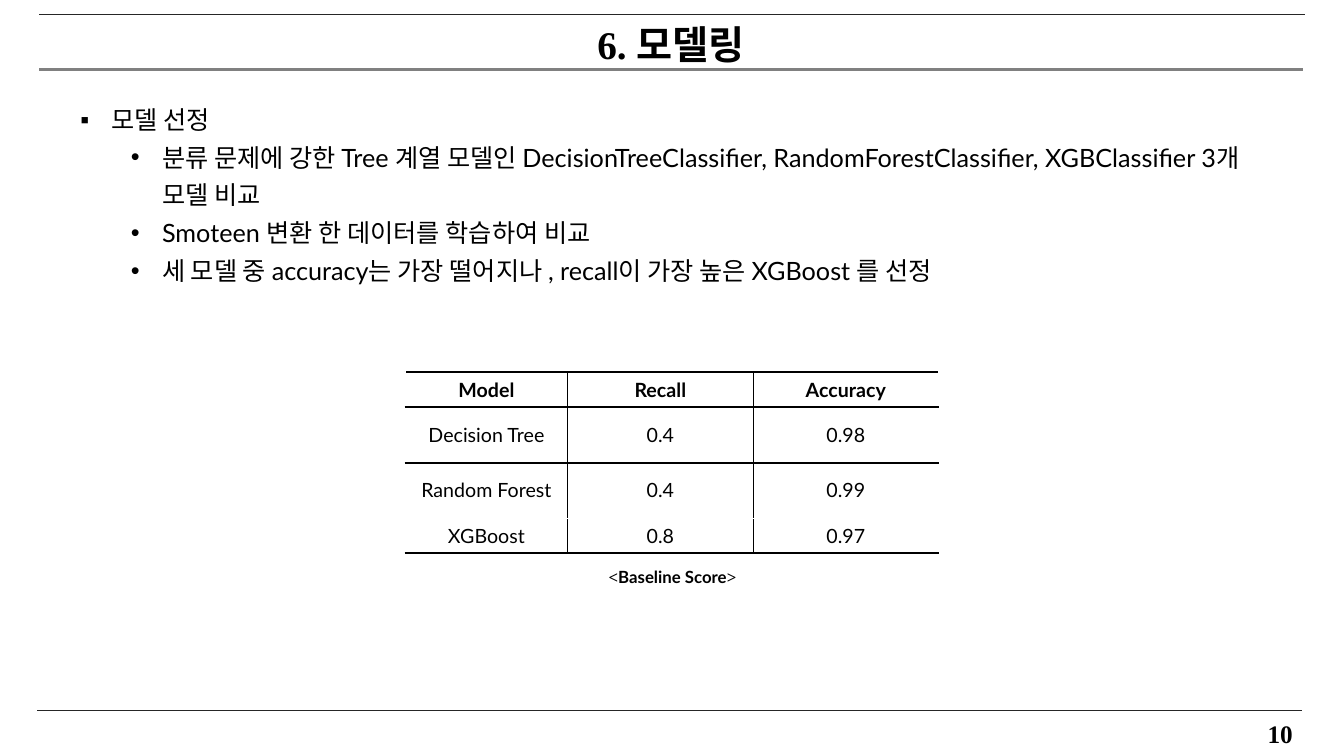
from lxml import etree
from pptx import Presentation
from pptx.dml.color import RGBColor
from pptx.enum.shapes import MSO_CONNECTOR
from pptx.enum.text import MSO_ANCHOR, MSO_AUTO_SIZE, PP_ALIGN
from pptx.oxml.ns import qn
from pptx.util import Inches, Pt

STRAIGHT = MSO_CONNECTOR.STRAIGHT
TOP, MIDDLE = MSO_ANCHOR.TOP, MSO_ANCHOR.MIDDLE
LEFT, CENTER, RIGHT = PP_ALIGN.LEFT, PP_ALIGN.CENTER, PP_ALIGN.RIGHT
FIT_SHAPE = MSO_AUTO_SIZE.SHAPE_TO_FIT_TEXT

# Content
TITLE = "6. 모델링"
PAGE_NUMBER = "10"
BULLETS = [  # level, text
    (0, "모델 선정"),
    (1, "분류 문제에 강한 Tree 계열 모델인 DecisionTreeClassifier, "
        "RandomForestClassifier, XGBClassifier 3개 모델 비교"),
    (1, "Smoteen 변환 한 데이터를 학습하여 비교"),
    (1, "세 모델 중 accuracy는 가장 떨어지나 , recall이 가장 높은 XGBoost 를 선정"),
]
SCORES = [
    ("Model", "Recall", "Accuracy"),
    ("Decision Tree", "0.4", "0.98"),
    ("Random Forest", "0.4", "0.99"),
    ("XGBoost", "0.8", "0.97"),
]
CAPTION = "Baseline Score"


class Theme:
    serif, sans = "Times New Roman", "Lato"
    text, paper, rule, title_rule = "000000", "FFFFFF", "262626", "808080"
    title, body, table, caption, page = 28, 18, 14, 12, 18
    grid, heavy = 1, 1.5


# Layout in inches
RULES = [  # x1, x2, y, colour, width
    (0.39, 12.94, 0.14, Theme.rule, 0.5),
    (0.39, 12.92, 0.69, Theme.title_rule, 2),
    (0.37, 12.91, 7.05, Theme.rule, 0.5),
]
BULLET_STYLES = [("▪", 0.31), ("•", 0.81)]  # mark, left indent by level
HANGING = 0.31
COLUMN_WIDTHS = [1.61, 1.84, 1.84]
ROW_HEIGHTS = [0.35, 0.55, 0.55, 0.35]

prs = Presentation()
prs.slide_width, prs.slide_height = Inches(13.33), Inches(7.5)
slide = prs.slides.add_slide(prs.slide_layouts[6])


def style(r, font, size, bold=False):
    r.font.name, r.font.size, r.font.bold = font, Pt(size), bold
    r.font.color.rgb = RGBColor.from_string(Theme.text)


def add_text(box, paragraphs, align, anchor=TOP, wrap=True, grow=True):
    """Each paragraph is a list of (text, font, size, bold) runs."""
    tf = slide.shapes.add_textbox(*map(Inches, box)).text_frame
    tf.word_wrap, tf.vertical_anchor = wrap, anchor
    if grow:
        tf.auto_size = FIT_SHAPE
    for i, runs in enumerate(paragraphs):
        p = tf.add_paragraph() if i else tf.paragraphs[0]
        p.alignment = align
        for text, *look in runs:
            r = p.add_run()
            r.text = text
            style(r, *look)
    return tf


def set_bullet(p, level):
    mark, indent = BULLET_STYLES[level]
    p.level, p.line_spacing = level, 1.25
    pPr = p._p.get_or_add_pPr()
    pPr.set("marL", str(Inches(indent)))
    pPr.set("indent", str(-Inches(HANGING)))
    etree.SubElement(pPr, qn("a:buFont")).set("typeface", "Arial")
    etree.SubElement(pPr, qn("a:buChar")).set("char", mark)


def set_borders(cell, borders):
    """Borders are (side, width) pairs in the order L, R, T, B."""
    tcPr = cell._tc.get_or_add_tcPr()
    for i, (side, width) in enumerate(borders):
        ln = etree.Element(qn(f"a:ln{side}"), w=str(Pt(width)))
        fill = etree.SubElement(ln, qn("a:solidFill"))
        etree.SubElement(fill, qn("a:srgbClr")).set("val", Theme.text)
        tcPr.insert(i, ln)


# Rules
for x1, x2, y, colour, width in RULES:
    line = slide.shapes.add_connector(
        STRAIGHT, Inches(x1), Inches(y), Inches(x2), Inches(y))
    line.line.color.rgb = RGBColor.from_string(colour)
    line.line.width = Pt(width)
    etree.SubElement(line._element.spPr, qn("a:effectLst"))

# Title and page number
add_text((0.39, 0.15, 12.53, 0.57),
         [[(TITLE, Theme.serif, Theme.title, True)]], CENTER)
add_text((9.92, 7.08, 3, 0.4),
         [[(PAGE_NUMBER, Theme.serif, Theme.page, True)]], RIGHT, MIDDLE, grow=False)

# Bullets
tf = add_text((0.7, 0.91, 11.9, 1.98),
              [[(text, Theme.sans, Theme.body)] for _, text in BULLETS], LEFT)
for p, (level, _) in zip(tf.paragraphs, BULLETS):
    set_bullet(p, level)

# Score table
last_row, last_col = len(SCORES) - 1, len(COLUMN_WIDTHS) - 1
table = slide.shapes.add_table(
    len(SCORES), len(COLUMN_WIDTHS), Inches(4.02), Inches(3.69),
    Inches(sum(COLUMN_WIDTHS)), Inches(sum(ROW_HEIGHTS))).table
table.first_row = table.horz_banding = False
for column, width in zip(table.columns, COLUMN_WIDTHS):
    column.width = Inches(width)
for row, height in zip(table.rows, ROW_HEIGHTS):
    row.height = Inches(height)
for i, row in enumerate(SCORES):
    for j, text in enumerate(row):
        cell = table.cell(i, j)
        cell.text, cell.vertical_anchor = text, MIDDLE
        cell.fill.solid()
        cell.fill.fore_color.rgb = RGBColor.from_string(Theme.paper)
        p = cell.text_frame.paragraphs[0]
        p.alignment = CENTER
        style(p.runs[0], Theme.sans, Theme.table, i == 0)
        sides = [("L", Theme.grid, j > 0), ("R", Theme.grid, j < last_col),
                 ("T", Theme.heavy, i <= 1), ("B", Theme.heavy, i in (0, last_row))]
        set_borders(cell, [(side, width) for side, width, shown in sides if shown])

# Table caption
add_text((5.93, 5.57, 1.48, 0.3),
         [[("<", Theme.serif, Theme.caption, True),
           (CAPTION, Theme.sans, Theme.caption, True),
           (">", Theme.serif, Theme.caption, True)]], CENTER, wrap=False)

prs.save("out.pptx")
